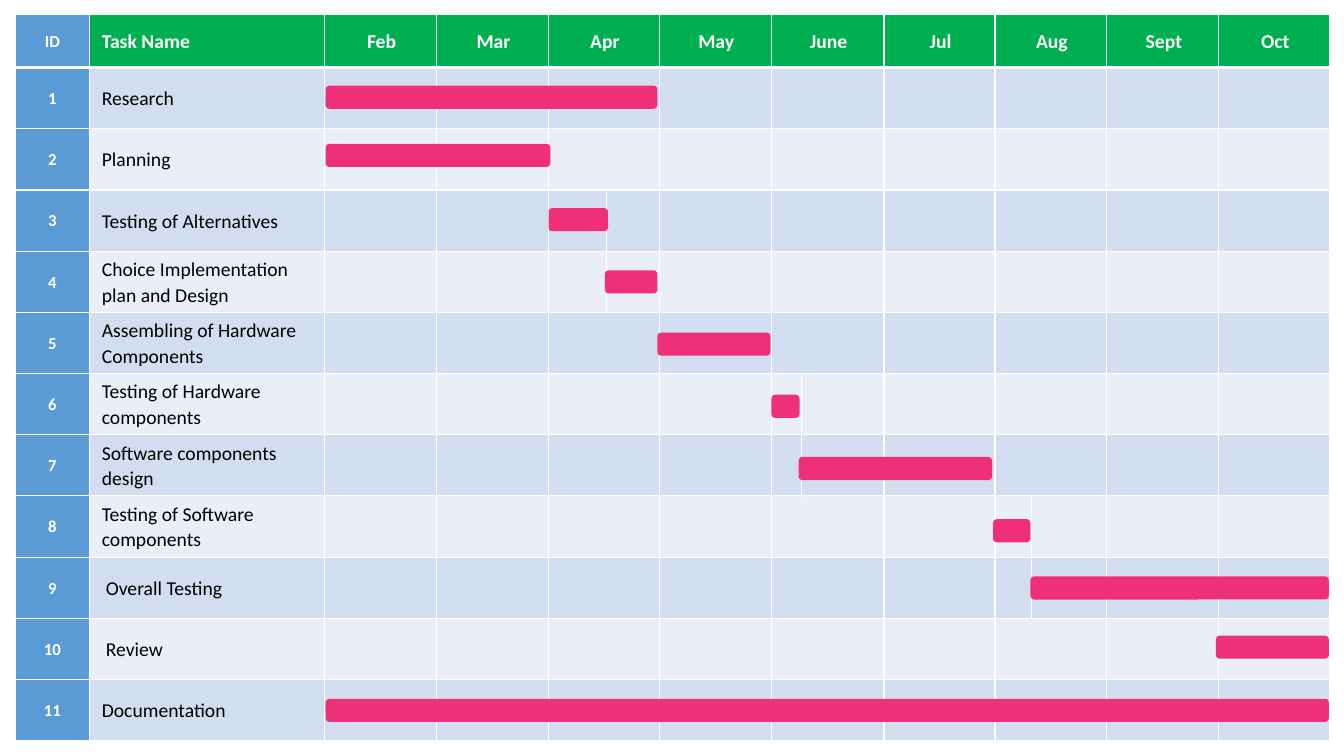
from itertools import product
from lxml import etree
from pptx import Presentation
from pptx.dml.color import RGBColor
from pptx.enum.shapes import MSO_SHAPE
from pptx.enum.text import MSO_ANCHOR, PP_ALIGN
from pptx.oxml.ns import qn
from pptx.util import Inches, Pt

ROUND = MSO_SHAPE.ROUNDED_RECTANGLE
MIDDLE = MSO_ANCHOR.MIDDLE
LEFT, CENTER = PP_ALIGN.LEFT, PP_ALIGN.CENTER

WHITE, BLACK = "FFFFFF", "000000"
BLUE, GREEN, PINK = "5B9BD5", "00B050", "EF3078"
BANDS = "EAEFF7", "D2DEEF"

COLS = [0.74, 2.33, 1.11, 1.11, 0.58, 0.52, 1.11,
        0.3, 0.82, 1.1, 0.36, 0.75, 1.11, 1.1]
HEAD_H, BAR_H = 0.53, 0.23

# Month and the column where it starts
MONTHS = {"Feb": 2, "Mar": 3, "Apr": 4, "May": 6, "June": 7,
          "Jul": 9, "Aug": 10, "Sept": 12, "Oct": 13}

# Months cut in two, by first column, and the task rows that show the cut
SPLITS = {4: (3, 4), 7: (6, 7), 10: (8, 9)}

# Name, indent, then bar start, bar width and drop below the row top
TASKS = [
    ("Research", 0.02, 3.08, 3.29, 0.18),
    ("Planning", 0.02, 3.08, 2.23, 0.15),
    ("Testing of Alternatives", 0.02, 5.29, 0.59, 0.18),
    ("Choice Implementation plan and Design", 0.02, 5.85, 0.52, 0.19),
    ("Assembling of Hardware Components", 0.02, 6.37, 1.12, 0.2),
    ("Testing of Hardware components", 0.02, 7.5, 0.28, 0.21),
    ("Software components design", 0.02, 7.77, 1.92, 0.22),
    ("Testing of Software components", 0.02, 9.7, 0.37, 0.23),
    ("Overall Testing", 0.06, 10.07, 2.96, 0.19),
    ("Review", 0.06, 11.91, 1.12, 0.17),
    ("Documentation", 0.02, 3.08, 9.95, 0.19),
]


def rgb(code):
    return RGBColor.from_string(code)


def paint(part, color):
    part.fill.solid()
    part.fill.fore_color.rgb = rgb(color)


def border(cell, row):
    props = cell._tc.get_or_add_tcPr()
    for side in "LRTB":
        thick = (row, side) in ((0, "B"), (1, "T"))
        line = etree.SubElement(props, qn("a:ln" + side),
                                w=str(Pt(3 if thick else 1)))
        fill = etree.SubElement(line, qn("a:solidFill"))
        etree.SubElement(fill, qn("a:srgbClr"), val=WHITE)


def write(cell, text, size, color, bold, align, indent=0):
    para = cell.text_frame.paragraphs[0]
    para.alignment = align
    para.line_spacing = 1.07
    para._p.get_or_add_pPr().set("marL", str(Inches(indent)))
    run = para.add_run()
    run.text = text
    look = {"name": "Calibri", "size": Pt(size), "bold": bold}
    for key, value in look.items():
        setattr(run.font, key, value)
    run.font.color.rgb = rgb(color)


def add_grid(slide, left, top, width, height):
    count = len(TASKS) + 1
    table = slide.shapes.add_table(
        count, len(COLS), Inches(left), Inches(top),
        Inches(width), Inches(height)).table
    table.first_row = table.horz_banding = False
    for col, size in zip(table.columns, COLS):
        col.width = Inches(size)
    step = (height - HEAD_H) / len(TASKS)
    for num, row in enumerate(table.rows):
        row.height = Inches(step if num else HEAD_H)

    # Fills and borders
    for row, col in product(range(count), range(len(COLS))):
        cell = table.cell(row, col)
        border(cell, row)
        band = BANDS[row % 2] if row else GREEN
        paint(cell, band if col else BLUE)
        cell.vertical_anchor = MIDDLE

    # Months that span two columns
    for col, rows in SPLITS.items():
        for row in range(count):
            if row not in rows:
                table.cell(row, col).merge(table.cell(row, col + 1))

    # Header row
    write(table.cell(0, 1), "Task Name", 14, WHITE, True, LEFT, 0.02)
    for month, col in MONTHS.items():
        write(table.cell(0, col), month, 14, WHITE, True, CENTER, 0.02)

    # Numbers and task names
    for row in range(count):
        cell = table.cell(row, 0)
        for side in ("left", "right", "top", "bottom"):
            setattr(cell, "margin_" + side, 0)
        write(cell, str(row) if row else "ID", 12, WHITE, True, CENTER)
    for row, (name, indent, *_) in enumerate(TASKS, 1):
        write(table.cell(row, 1), name, 14, BLACK, False, LEFT, indent)


def add_bars(slide, left, top, height):
    step = (height - HEAD_H) / len(TASKS)
    for row, (_, _, start, width, drop) in enumerate(TASKS):
        bar = slide.shapes.add_shape(
            ROUND, Inches(left + start),
            Inches(top + HEAD_H + row * step + drop),
            Inches(width), Inches(BAR_H))
        bar.shadow.inherit = False
        paint(bar, PINK)
        bar.line.fill.background()


def main():
    deck = Presentation()
    deck.slide_width, deck.slide_height = Inches(13.33), Inches(7.5)
    slide = deck.slides.add_slide(deck.slide_layouts[6])
    add_grid(slide, 0.15, 0.14, 13.03, 7.21)
    add_bars(slide, 0.15, 0.14, 7.21)
    deck.save("out.pptx")


if __name__ == "__main__":
    main()
